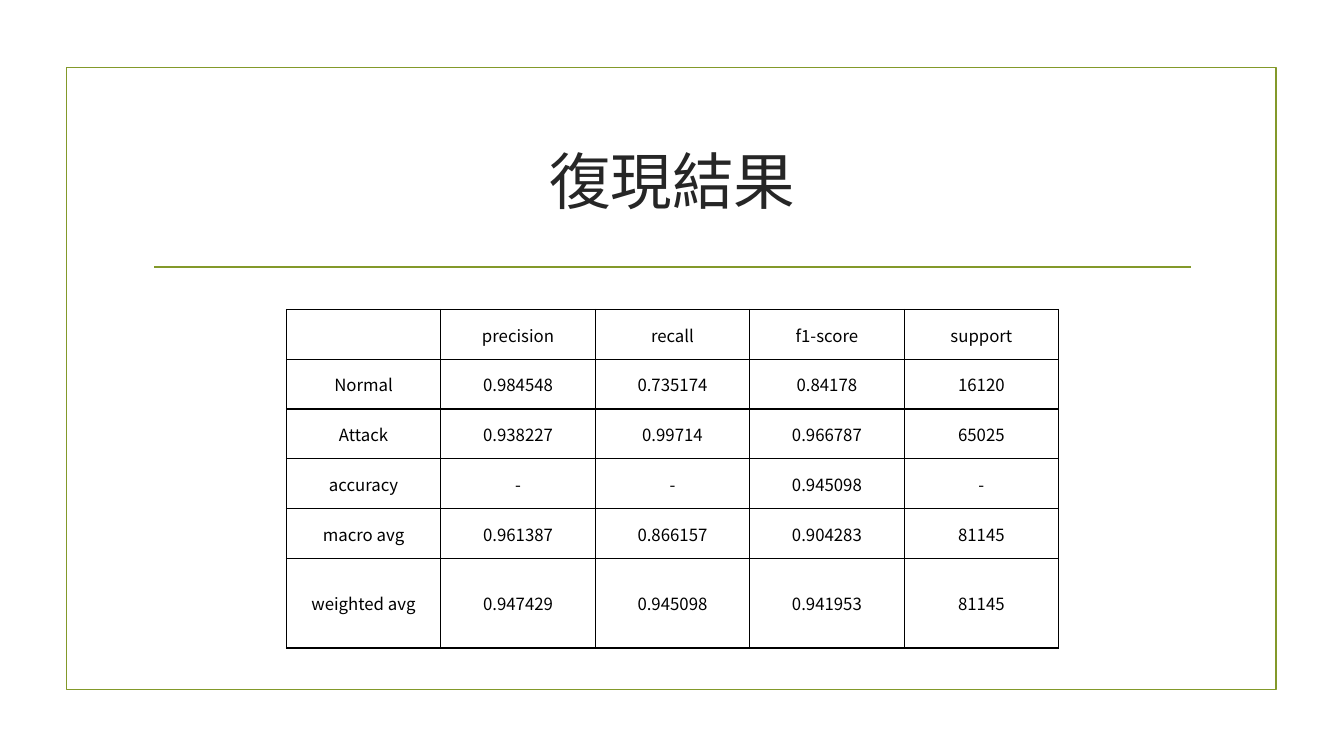
from lxml import etree
from pptx import Presentation, util as u
from pptx.dml.color import RGBColor
from pptx.enum import shapes, text
from pptx.oxml import ns

OLIVE = RGBColor(0x83, 0x99, 0x2A)
CHARCOAL = RGBColor(0x26, 0x26, 0x26)
BLACK = RGBColor(0, 0, 0)
WHITE = RGBColor(0xFF, 0xFF, 0xFF)
TITLE_FONT = "Times New Roman"
BODY_FONT = "Noto Sans CJK TC"
LAST_ROW_HEIGHT = 0.89

RESULTS = [
    ["", "precision", "recall", "f1-score", "support"],
    ["Normal", "0.984548", "0.735174", "0.84178", "16120"],
    ["Attack", "0.938227", "0.99714", "0.966787", "65025"],
    ["accuracy", "-", "-", "0.945098", "-"],
    ["macro avg", "0.961387", "0.866157", "0.904283", "81145"],
    ["weighted avg", "0.947429", "0.945098", "0.941953", "81145"],
]


def to_emu(box):
    return [u.Inches(length) for length in box]


def style_paragraph(paragraph, font_name, size, color):
    paragraph.alignment = text.PP_ALIGN.CENTER
    paragraph.font.name = font_name
    paragraph.font.size = u.Pt(size)
    paragraph.font.color.rgb = color


def add_frame(slide, box):
    frame = slide.shapes.add_shape(shapes.MSO_SHAPE.RECTANGLE, *to_emu(box))
    frame.shadow.inherit = False
    frame.fill.background()
    frame.line.color.rgb = OLIVE
    frame.line.width = u.Pt(1.25)


def add_rule(slide, left, right, top):
    rule = slide.shapes.add_connector(
        shapes.MSO_CONNECTOR.STRAIGHT, *to_emu((left, top, right, top)))
    rule.line.color.rgb = OLIVE
    rule.line.width = u.Pt(1.25)
    etree.SubElement(rule._element.spPr, ns.qn("a:effectLst"))


def fill_title(slide, box, wording):
    title = slide.shapes.title
    title.left, title.top, title.width, title.height = to_emu(box)
    title.text_frame.text = wording
    title.text_frame.vertical_anchor = text.MSO_ANCHOR.MIDDLE
    style_paragraph(title.text_frame.paragraphs[0], TITLE_FONT, 44, CHARCOAL)


def add_borders(cell):
    properties = cell._tc.get_or_add_tcPr()
    for side in ("lnL", "lnR", "lnT", "lnB"):
        line = etree.SubElement(properties, ns.qn(f"a:{side}"), w=str(u.Pt(1)))
        fill = etree.SubElement(line, ns.qn("a:solidFill"))
        etree.SubElement(fill, ns.qn("a:srgbClr"), val=str(BLACK))


def fill_cell(cell, value):
    add_borders(cell)
    cell.fill.solid()
    cell.fill.fore_color.rgb = WHITE
    cell.margin_left = cell.margin_right = cell.margin_top = u.Inches(0.01)
    cell.margin_bottom = 0
    cell.vertical_anchor = text.MSO_ANCHOR.MIDDLE
    cell.text = value
    style_paragraph(cell.text_frame.paragraphs[0], BODY_FONT, 12, BLACK)


def add_results_table(slide, box, rows):
    width, height = box[2:]
    table = slide.shapes.add_table(len(rows), len(rows[0]), *to_emu(box)).table
    table.first_row = table.horz_banding = False
    for column in table.columns:
        column.width = u.Inches(width / len(rows[0]))
    for row in table.rows:
        row.height = u.Inches((height - LAST_ROW_HEIGHT) / (len(rows) - 1))
    table.rows[len(rows) - 1].height = u.Inches(LAST_ROW_HEIGHT)
    for row, values in zip(table.rows, rows):
        for cell, value in zip(row.cells, values):
            fill_cell(cell, value)


def main():
    presentation = Presentation()
    presentation.slide_width = u.Inches(13.33)
    presentation.slide_height = u.Inches(7.5)
    slide = presentation.slides.add_slide(presentation.slide_layouts[5])
    add_frame(slide, (0.66, 0.67, 12, 6.17))
    add_rule(slide, 1.53, 11.81, 2.65)
    fill_title(slide, (1.42, 1.07, 10.5, 1.43), "復現結果")
    add_results_table(slide, (2.84, 3.07, 7.66, 3.36), RESULTS)
    presentation.save("out.pptx")


if __name__ == "__main__":
    main()
